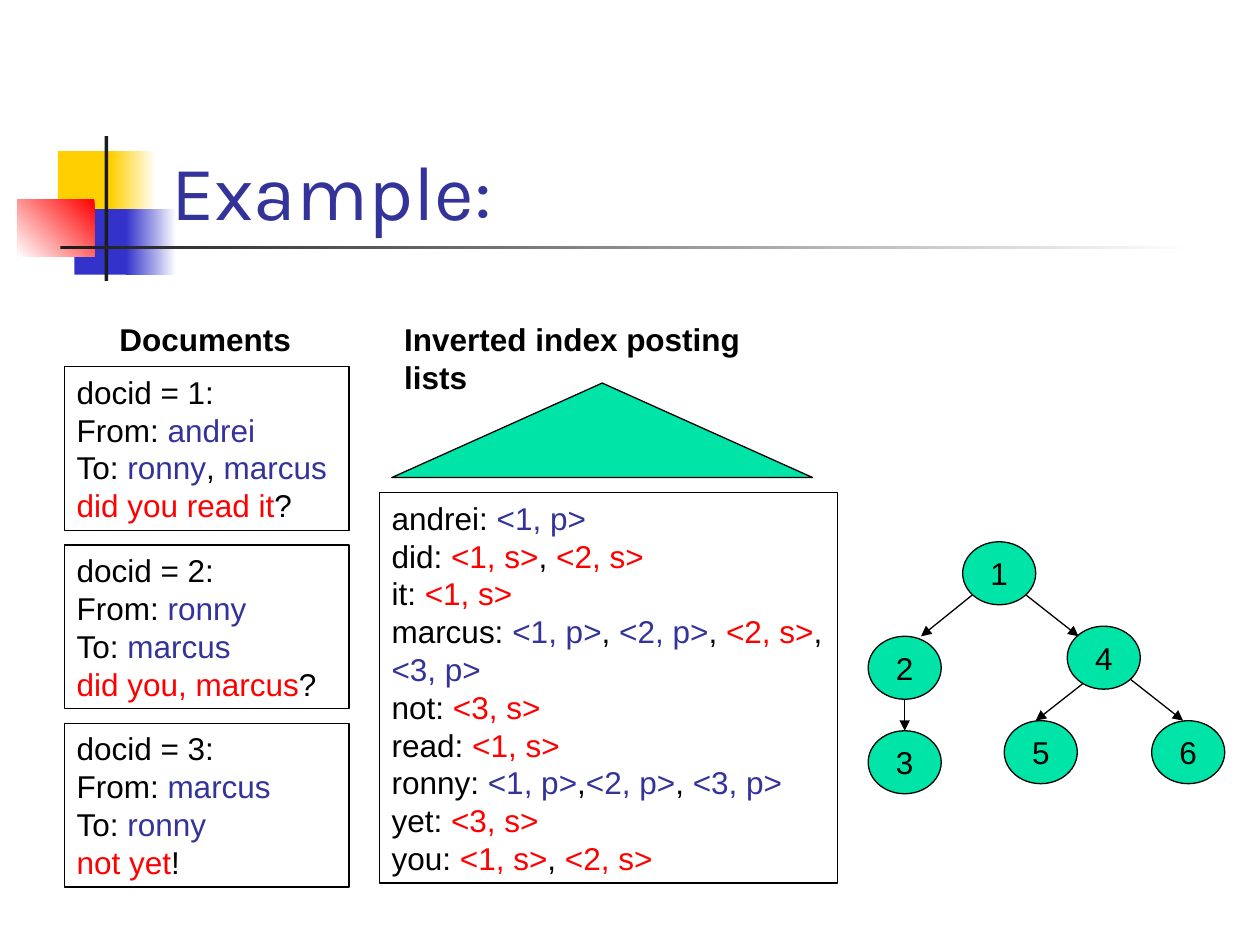
from lxml.etree import SubElement
from pptx import Presentation
from pptx.dml.color import RGBColor
from pptx.enum.shapes import MSO_CONNECTOR, MSO_SHAPE
from pptx.enum.text import MSO_ANCHOR, PP_ALIGN
from pptx.oxml.ns import qn
from pptx.util import Inches, Pt

BLACK, WHITE, DARK = "000000", "FFFFFF", "1C1C1C"
BLUE, RED, GREEN = "333399", "FF0000", "00E4A8"
MARKS = {"~": BLUE, "^": RED}

BARS = [
    ((0.46, 1.2, 0.48, 0.52), ["FFCF01"], 0),
    ((0.88, 1.2, 0.36, 0.52), ["FFCF01", WHITE], 0),
    ((0.59, 1.66, 0.46, 0.52), ["3333CC"], 0),
    ((1, 1.66, 0.4, 0.52), ["3333CC", WHITE], 0),
    ((0.14, 1.58, 0.61, 0.46), [RED, WHITE], 225),
    ((0.83, 1.08, 0.03, 1.15), [DARK], 0),
    ((0.48, 1.95, 9, 0.03), [DARK, WHITE], 0),
]
HEADS = [
    ("Documents", (0.85, 2.49, 1.56, 0.4)),
    ("Inverted index posting lists", (3.11, 2.49, 3.43, 0.4)),
]
DOCS = [
    ["docid = 1:", "From: |~andrei", "To: |~ronny|, |~marcus", "^did you read it|?"],
    ["docid = 2:", "From: |~ronny", "To: |~marcus", "^did you, marcus|?"],
    ["docid = 3:", "From: |~marcus", "To: |~ronny", "^not yet|!"],
]
INDEX = [
    "andrei: |~<1, p>",
    "did: |^<1, s>|, |^<2, s>",
    "it: |^<1, s>",
    "marcus: |~<1, p>|, |~<2, p>|, |^<2, s>|, |~<3, p>",
    "not: |^<3, s>",
    "read: |^<1, s>",
    "ronny: |~<1, p>|,|~<2, p>|, |~<3, p>",
    "yet: |^<3, s>",
    "you: |^<1, s>|, |^<2, s>",
]
NODES = [(7.64, 4.3), (6.89, 5.05), (6.89, 5.8), (8.47, 4.97), (7.97, 5.72), (9.14, 5.72)]
BACK = [(8.64, 5.39, -0.42, 0.33)]
FRONT = [
    (7.72, 4.72, -0.41, 0.33),
    (8.14, 4.72, 0.42, 0.33),
    (8.97, 5.39, 0.42, 0.33),
    (7.18, 5.55, 0, 0.25),
]


def color(code):
    return RGBColor.from_string(code)


def style(run, code, size=18, font="Arial", bold=False):
    run.font.name, run.font.size, run.font.bold = font, Pt(size), bold
    run.font.color.rgb = color(code)


def shape(slide, kind, box, fill=None, line=BLACK):
    item = slide.shapes.add_shape(kind, *map(Inches, box))
    item.shadow.inherit = False
    if fill:
        item.fill.solid()
        item.fill.fore_color.rgb = color(fill)
    else:
        item.fill.background()
    if line:
        item.line.color.rgb = color(line)
        item.line.width = Pt(0.75)
    else:
        item.line.fill.background()
    return item


def bar(slide, box, codes, angle):
    item = shape(slide, MSO_SHAPE.RECTANGLE, box, codes[0], None)
    if len(codes) > 1:
        item.fill.gradient()
        item.fill.gradient_angle = angle
        for stop, code in zip(item.fill.gradient_stops, codes):
            stop.color.rgb = color(code)


def label(slide, text, box, wrap=False, **look):
    frame = slide.shapes.add_textbox(*map(Inches, box)).text_frame
    frame.text = text
    frame.word_wrap = wrap
    style(frame.paragraphs[0].runs[0], **look)
    return frame


def panel(slide, lines, box):
    frame = shape(slide, MSO_SHAPE.RECTANGLE, box).text_frame
    frame.word_wrap = True
    frame.vertical_anchor = MSO_ANCHOR.TOP
    for i, line in enumerate(lines):
        para = frame.add_paragraph() if i else frame.paragraphs[0]
        para.alignment = PP_ALIGN.LEFT
        for part in line.split("|"):
            run = para.add_run()
            run.text = part.lstrip("~^")
            style(run, MARKS.get(part[0], BLACK))


def node(slide, text, x, y):
    frame = shape(slide, MSO_SHAPE.OVAL, (x, y, 0.58, 0.5), GREEN).text_frame
    frame.text = text
    frame.word_wrap = False
    frame.vertical_anchor = MSO_ANCHOR.MIDDLE
    para = frame.paragraphs[0]
    para.alignment = PP_ALIGN.CENTER
    style(para.runs[0], BLACK)


def arrow(slide, x, y, dx, dy):
    ends = map(Inches, (x, y, x + dx, y + dy))
    item = slide.shapes.add_connector(MSO_CONNECTOR.STRAIGHT, *ends)
    item.line.color.rgb = color(BLACK)
    item.line.width = Pt(0.75)
    SubElement(item.line._get_or_add_ln(), qn("a:tailEnd"), type="triangle")
    SubElement(item._element.spPr, qn("a:effectLst"))


def main():
    deck = Presentation()
    deck.slide_width, deck.slide_height = Inches(10), Inches(7.5)
    slide = deck.slides.add_slide(deck.slide_layouts[6])
    for box, codes, angle in BARS:
        bar(slide, box, codes, angle)
    title = label(slide, "Example:", (1.26, 0.67, 8.52, 1.25), True,
                  code=BLUE, size=44, font="Karla")
    title.vertical_anchor = MSO_ANCHOR.BOTTOM
    for i, lines in enumerate(DOCS):
        panel(slide, lines, (0.51, 2.91 + i * 1.415, 2.26, 1.3))
    panel(slide, INDEX, (3.01, 3.91, 3.64, 3.1))
    for text, box in HEADS:
        label(slide, text, box, code=BLACK, bold=True)
    shape(slide, MSO_SHAPE.ISOSCELES_TRIANGLE, (3.11, 3.04, 3.34, 0.75), GREEN)
    for edge in BACK:
        arrow(slide, *edge)
    for i, spot in enumerate(NODES, 1):
        node(slide, str(i), *spot)
    for edge in FRONT:
        arrow(slide, *edge)
    deck.save("out.pptx")


if __name__ == "__main__":
    main()
